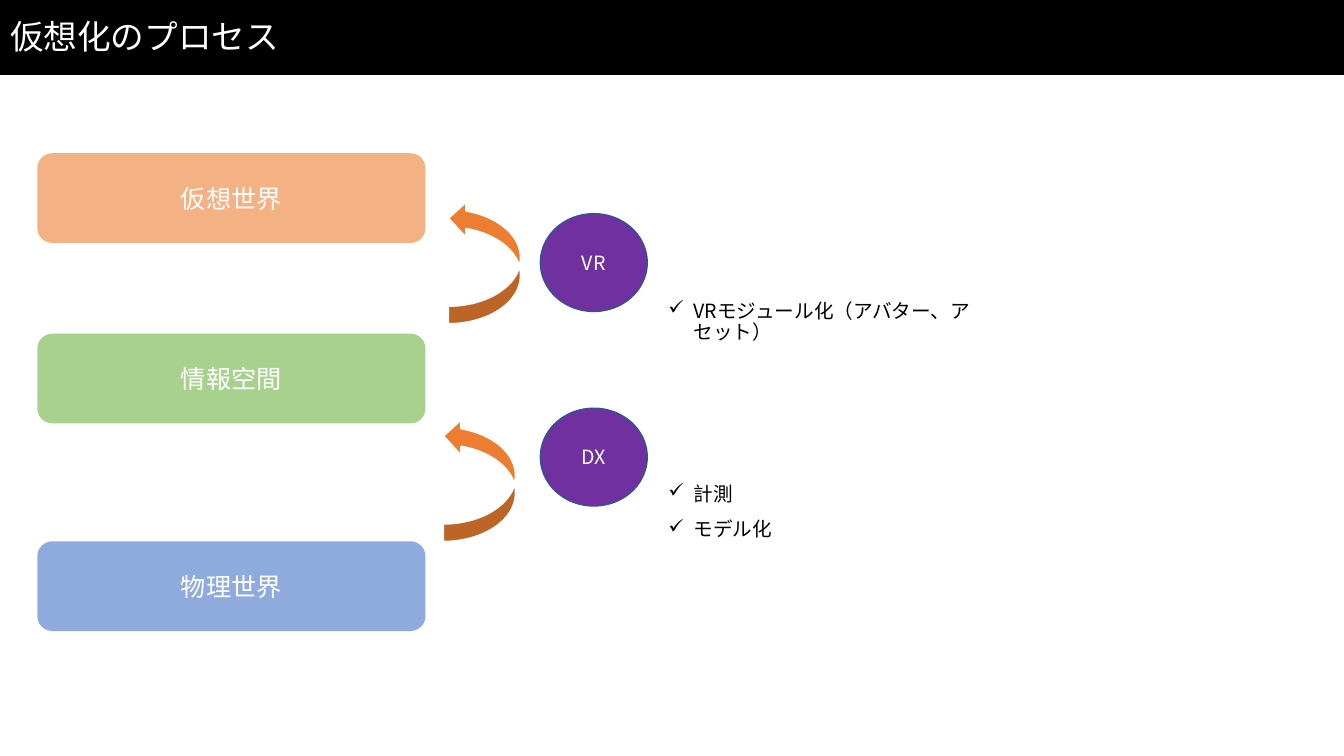
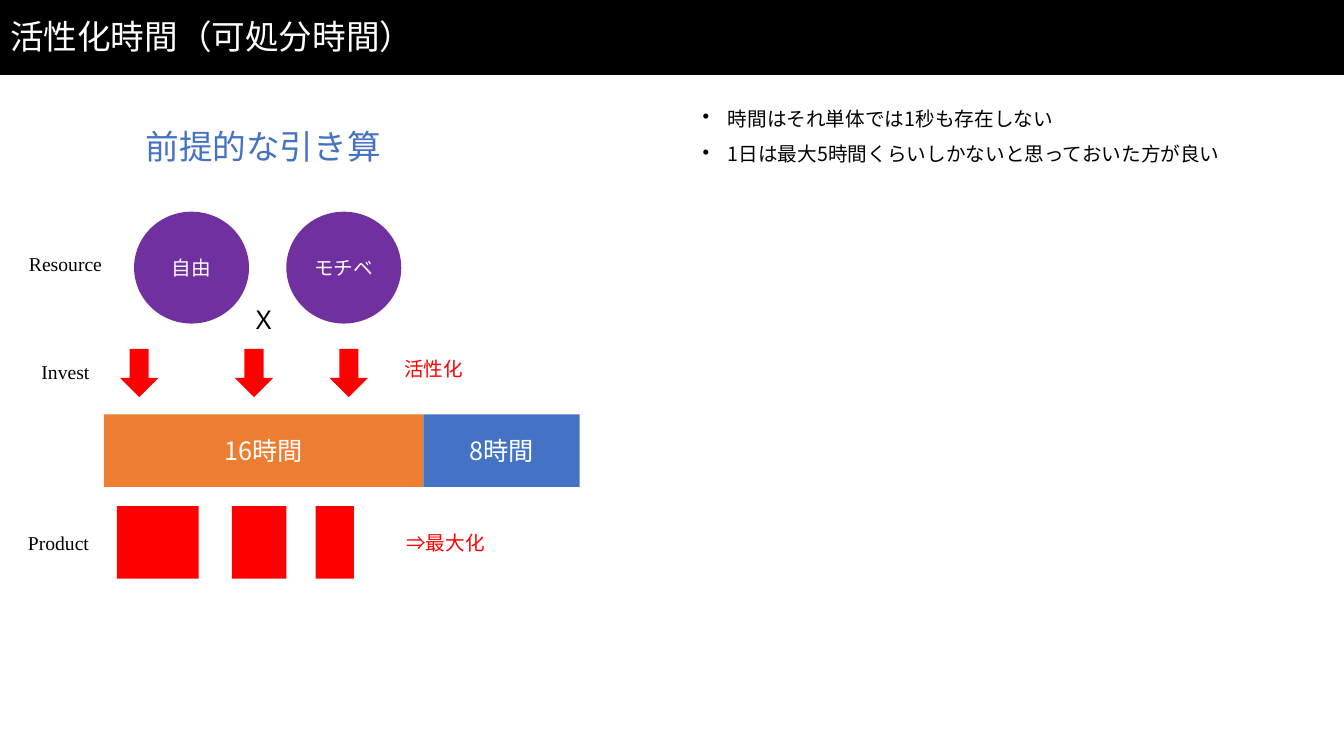
from lxml import etree
from pptx import Presentation
from pptx.dml.color import RGBColor
from pptx.enum.shapes import MSO_SHAPE
from pptx.enum.text import MSO_ANCHOR, MSO_AUTO_SIZE, PP_ALIGN
from pptx.oxml.ns import qn
from pptx.util import Pt

PX = 9144  # EMU per px, 100 px to the inch
WIDE, HIGH = 1333, 750
SANS, SERIF = "Noto Sans CJK JP", "Times New Roman"
WHITE, BLACK, RED = "FFFFFF", "000000", "FF0000"
PURPLE, ORANGE, BLUE, NAVY = "7030A0", "ED7D31", "4472C4", "325491"

RECT, ROUND, OVAL = MSO_SHAPE.RECTANGLE, MSO_SHAPE.ROUNDED_RECTANGLE, MSO_SHAPE.OVAL
DOWN, CURVE = MSO_SHAPE.DOWN_ARROW, MSO_SHAPE.CURVED_UP_ARROW
LEFT, CENTER = PP_ALIGN.LEFT, PP_ALIGN.CENTER
MIDDLE, FIXED = MSO_ANCHOR.MIDDLE, MSO_AUTO_SIZE.NONE


def color(code):
    return RGBColor.from_string(code)


def emu(*sizes):
    return [size * PX for size in sizes]


def style(para, size, code, font=SANS, align=LEFT):
    """Format a paragraph and its runs, with one font for Japanese text."""
    para.alignment = align
    for run in para.runs:
        run.font.size = Pt(size)
        run.font.color.rgb = color(code)
        run.font.name = font
        east = etree.SubElement(run.font._element, qn("a:ea"))
        east.set("typeface", SANS)


def shape(slide, kind, box, fill, text="", size=14, line=None, weight=1):
    item = slide.shapes.add_shape(kind, *emu(*box))
    item.shadow.inherit = False
    item.fill.solid()
    item.fill.fore_color.rgb = color(fill)
    if line:
        item.line.color.rgb = color(line)
        item.line.width = Pt(weight)
    else:
        item.line.fill.background()
    if text:
        frame = item.text_frame
        frame.text = text
        frame.vertical_anchor = MIDDLE
        style(frame.paragraphs[0], size, WHITE, align=CENTER)
    return item


def label(slide, box, text, size=14, code=BLACK, font=SANS):
    frame = slide.shapes.add_textbox(*emu(*box)).text_frame
    frame.word_wrap = True
    frame.text = text
    style(frame.paragraphs[0], size, code, font, CENTER)


def bullets(slide, box, mark, lines):
    frame = slide.shapes.add_textbox(*emu(*box)).text_frame
    frame.word_wrap = True
    frame.text = "\n".join(lines)
    for num, para in enumerate(frame.paragraphs):
        props = para._p.get_or_add_pPr()
        props.set("marL", str(25 * PX))
        props.set("indent", str(-25 * PX))
        etree.SubElement(props, qn("a:buChar")).set("char", mark)
        para.line_spacing = 0.9
        if num:
            para.space_before = Pt(10)
        style(para, 14, BLACK)


def page(deck, text):
    slide = deck.slides.add_slide(deck.slide_layouts[5])
    title = slide.shapes.title
    title.left, title.top, title.width, title.height = emu(0, 2, 1150, 72)
    frame = title.text_frame
    frame.text = text
    frame.auto_size = FIXED
    frame.vertical_anchor = MIDDLE
    para = frame.paragraphs[0]
    para.line_spacing = 0.9
    style(para, 24, WHITE, SERIF)
    return slide


def band(slide):
    """Draw the title band and move it to the layout that all slides share."""
    bar = shape(slide, RECT, (0, 0, WIDE, 74), BLACK, line=BLACK)
    slide.slide_layout.shapes._spTree.insert(2, bar._element)


def worlds(slide, x, y):
    for text, drop, fill in (
        ("仮想世界", 0, "F4B183"),
        ("情報空間", 179, "A9D18E"),
        ("物理世界", 385, "8FAADC"),
    ):
        shape(slide, ROUND, (x, y + drop, 385, 89), fill, text, 18)


def step(slide, x, y, name, bend, notes, lines):
    """Place a circle, its arrow and its notes; bend and notes are offsets."""
    shape(slide, OVAL, (x, y, 106, 97), PURPLE, name, line=NAVY)
    arrow = shape(slide, CURVE, (x + bend[0], y + bend[1], 123, 72),
                  ORANGE, line=WHITE, weight=1.5)
    arrow.rotation = 270
    bullets(slide, (x + 117, y + notes[0], notes[1], 72), "✓", lines)


def source(slide, x, y):
    label(slide, (x, y + 35, 130, 34), "Resource", font=SERIF)
    for left, text in ((133, "自由"), (284, "モチベ")):
        shape(slide, OVAL, (x + left, y, 114, 111), PURPLE, text)
    label(slide, (x + 197, y + 87, 130, 40), "Ｘ", 18)


def invest(slide, x, y):
    label(slide, (x, y + 6, 130, 34), "Invest", font=SERIF)
    for left in (119, 233, 327):
        shape(slide, DOWN, (x + left, y, 38, 48), RED)
    label(slide, (x + 365, y + 3, 130, 34), "活性化", code=RED)


def day(slide, x, y):
    shape(slide, RECT, (x, y, 317, 72), ORANGE, "16時間", 18)
    shape(slide, RECT, (x + 317, y, 155, 72), BLUE, "8時間", 18)


def product(slide, x, y):
    label(slide, (x - 7, y + 20, 130, 34), "Product", font=SERIF)
    for left, width in ((116, 81), (230, 54), (313, 38)):
        shape(slide, RECT, (x + left, y, width, 72), RED)
    label(slide, (x + 377, y + 20, 130, 34), "⇒最大化", code=RED)


def process(deck):
    slide = page(deck, "仮想化のプロセス")
    band(slide)
    worlds(slide, 37, 152)
    step(slide, 536, 212, "VR", (-117, 12), (82, 340),
         ["VRモジュール化（アバター、アセット）"])
    step(slide, 536, 405, "DX", (-122, 35), (71, 218), ["計測", "モデル化"])


def hours(deck):
    slide = page(deck, "活性化時間（可処分時間）")
    bullets(slide, (687, 104, 609, 615), "•", [
        "時間はそれ単体では1秒も存在しない",
        "1日は最大5時間くらいしかないと思っておいた方が良い",
    ])
    label(slide, (55, 120, 412, 50), "前提的な引き算", 24, BLUE)
    source(slide, 0, 210)
    invest(slide, 0, 346)
    day(slide, 103, 411)
    product(slide, 0, 502)


def main():
    deck = Presentation()
    deck.slide_width, deck.slide_height = emu(WIDE, HIGH)
    process(deck)
    hours(deck)
    deck.save("out.pptx")


if __name__ == "__main__":
    main()
